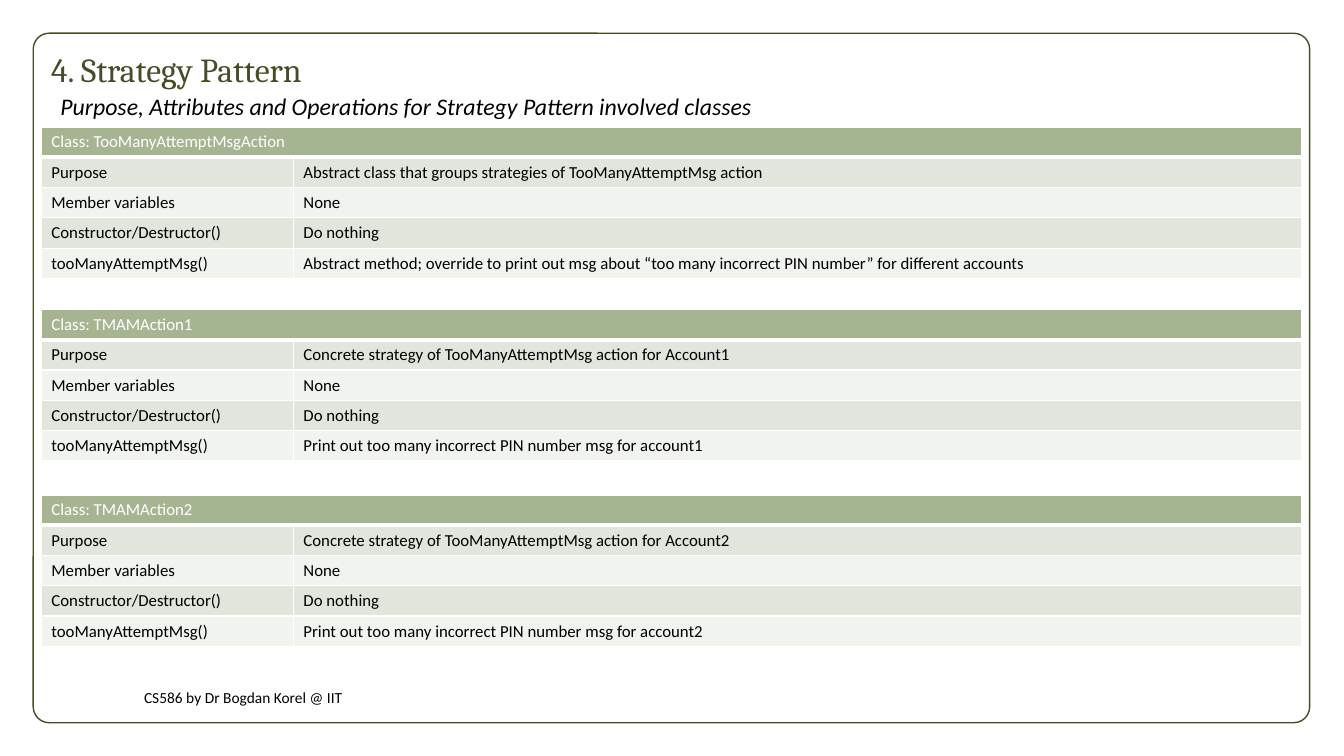
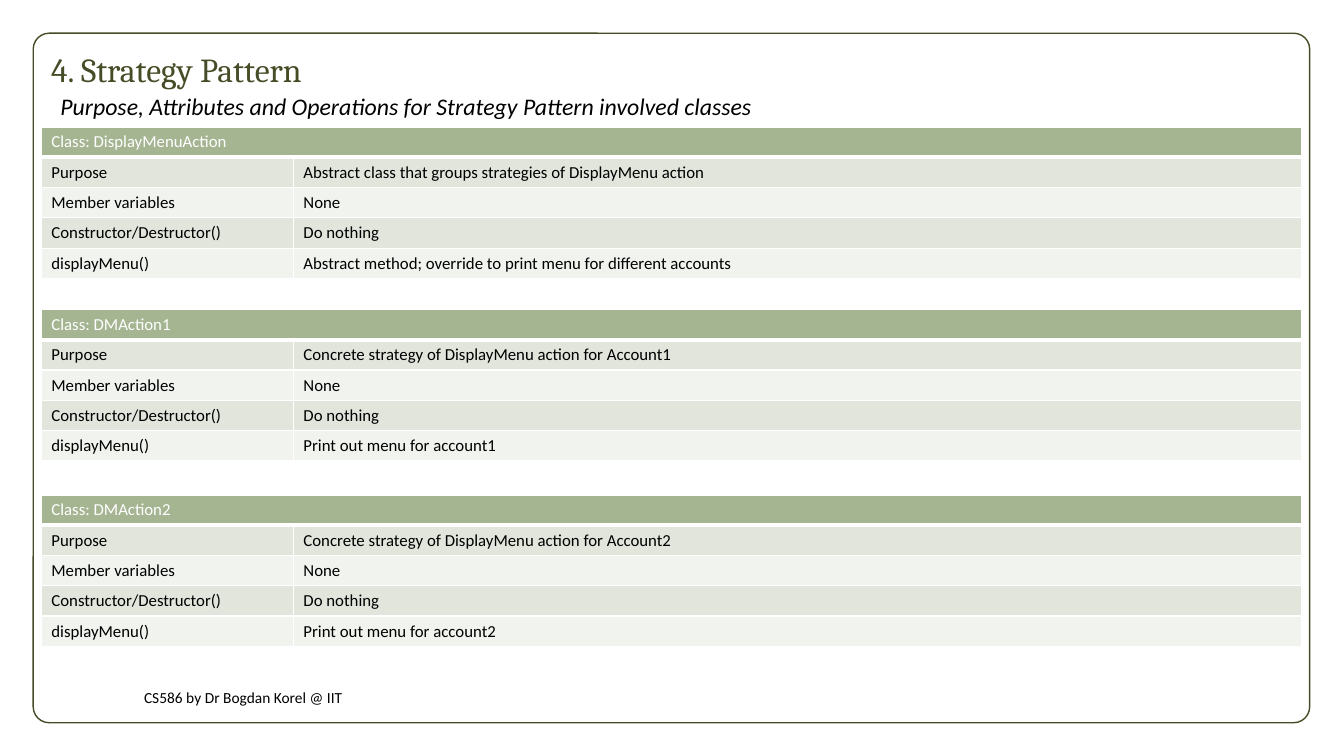
from lxml import etree
from pptx import Presentation
from pptx.dml.color import RGBColor
from pptx.enum import shapes, text
from pptx.oxml import ns
from pptx.util import Inches, Pt

COLORS = {
    "white": "FFFFFF",
    "black": "000000",
    "olive": "444D26",
    "header": "A5B592",
    "band_dark": "E1E5DC",
    "band_light": "F0F3EE",
}
BODY_FONT, TITLE_FONT = "Calibri", "Cambria"
TITLE = "4. Strategy Pattern"
SUBTITLE = "Purpose, Attributes and Operations for Strategy Pattern involved classes"
FOOTER = "CS586 by Dr Bogdan Korel @ IIT"

TABLE_LEFT = 0.41
TABLE_TOPS = (1.26, 3.07, 4.91)
COLUMN_WIDTHS = (2.5, 10)
ROW_HEIGHT = 0.3

# Each slide: action, its method, then (class name, method description) per table
SLIDES = [
    ("TooManyAttemptMsg", "tooManyAttemptMsg()", [
        ("TooManyAttemptMsgAction",
         "Abstract method; override to print out msg about "
         "“too many incorrect PIN number” for different accounts"),
        ("TMAMAction1", "Print out too many incorrect PIN number msg for account1"),
        ("TMAMAction2", "Print out too many incorrect PIN number msg for account2"),
    ]),
    ("DisplayMenu", "displayMenu()", [
        ("DisplayMenuAction",
         "Abstract method; override to print menu for different accounts"),
        ("DMAction1", "Print out menu for account1"),
        ("DMAction2", "Print out menu for account2"),
    ]),
]


def rgb(name):
    return RGBColor.from_string(COLORS[name])


def add_run(p, content, size, color="black", font=BODY_FONT, italic=False):
    r = p.add_run()
    r.text = content
    r.font.size = Pt(size)
    r.font.name = font
    r.font.italic = italic
    r.font.color.rgb = rgb(color)


def add_text(s, box, content, size, anchor=text.MSO_ANCHOR.MIDDLE,
             line_spacing=None, **style):
    tf = s.shapes.add_textbox(*map(Inches, box)).text_frame
    tf.word_wrap = True
    tf.vertical_anchor = anchor
    p = tf.paragraphs[0]
    p.line_spacing = line_spacing
    add_run(p, content, size, **style)


def add_frame(s):
    sp = s.shapes.add_shape(shapes.MSO_SHAPE.ROUNDED_RECTANGLE,
                            Inches(0.33), Inches(0.33), Inches(12.66), Inches(6.84))
    sp.adjustments[0] = 0.023
    sp.shadow.inherit = False
    sp.fill.solid()
    sp.fill.fore_color.rgb = rgb("white")
    sp.line.color.rgb = rgb("olive")
    sp.line.width = Pt(1)


def set_borders(cell, top, bottom):
    """Draw white cell borders; must run before the cell is filled."""
    tc_pr = cell._tc.get_or_add_tcPr()
    for side, width in (("L", 1), ("R", 1), ("T", top), ("B", bottom)):
        ln = etree.SubElement(tc_pr, ns.qn(f"a:ln{side}"), w=str(Pt(width)))
        fill = etree.SubElement(ln, ns.qn("a:solidFill"))
        etree.SubElement(fill, ns.qn("a:srgbClr"), val=COLORS["white"])


def style_cell(cell, row):
    set_borders(cell, top=3 if row == 1 else 1, bottom=3 if row == 0 else 1)
    band = "header" if row == 0 else "band_dark" if row % 2 else "band_light"
    cell.fill.solid()
    cell.fill.fore_color.rgb = rgb(band)


def add_class_table(s, top, rows):
    """Add a table whose first row is a heading across both columns."""
    table = s.shapes.add_table(
        len(rows), len(COLUMN_WIDTHS), Inches(TABLE_LEFT), Inches(top),
        Inches(sum(COLUMN_WIDTHS)), Inches(ROW_HEIGHT * len(rows))).table
    table.first_row = table.horz_banding = False
    for column, width in zip(table.columns, COLUMN_WIDTHS):
        column.width = Inches(width)
    table.cell(0, 0).merge(table.cell(0, 1))
    for i, values in enumerate(rows):
        table.rows[i].height = Inches(ROW_HEIGHT)
        for cell in table.rows[i].cells:
            style_cell(cell, i)
        for j, value in enumerate(values):
            add_run(table.cell(i, j).text_frame.paragraphs[0], value, 12,
                    color="black" if i else "white")


def class_rows(action, method, number, class_name, description):
    """Number 0 is the abstract class; others are the account strategies."""
    if number:
        purpose = f"Concrete strategy of {action} action for Account{number}"
    else:
        purpose = f"Abstract class that groups strategies of {action} action"
    return [
        (f"Class: {class_name}",),
        ("Purpose", purpose),
        ("Member variables", "None"),
        ("Constructor/Destructor()", "Do nothing"),
        (method, description),
    ]


def add_pattern_slide(prs, action, method, classes):
    s = prs.slides.add_slide(prs.slide_layouts[6])
    add_frame(s)
    add_text(s, (1.33, 6.75, 8.11, 0.33), FOOTER, 11)
    add_text(s, (0.5, 0.94, 11.58, 0.31), SUBTITLE, 17,
             anchor=text.MSO_ANCHOR.TOP, line_spacing=0.7, italic=True)
    add_text(s, (0.41, 0.42, 10.66, 0.53), TITLE, 24, color="olive", font=TITLE_FONT)
    for number, (top, entry) in enumerate(zip(TABLE_TOPS, classes)):
        add_class_table(s, top, class_rows(action, method, number, *entry))


def main():
    prs = Presentation()
    prs.slide_width, prs.slide_height = Inches(13.33), Inches(7.5)
    for content in SLIDES:
        add_pattern_slide(prs, *content)
    prs.save("out.pptx")


if __name__ == "__main__":
    main()
